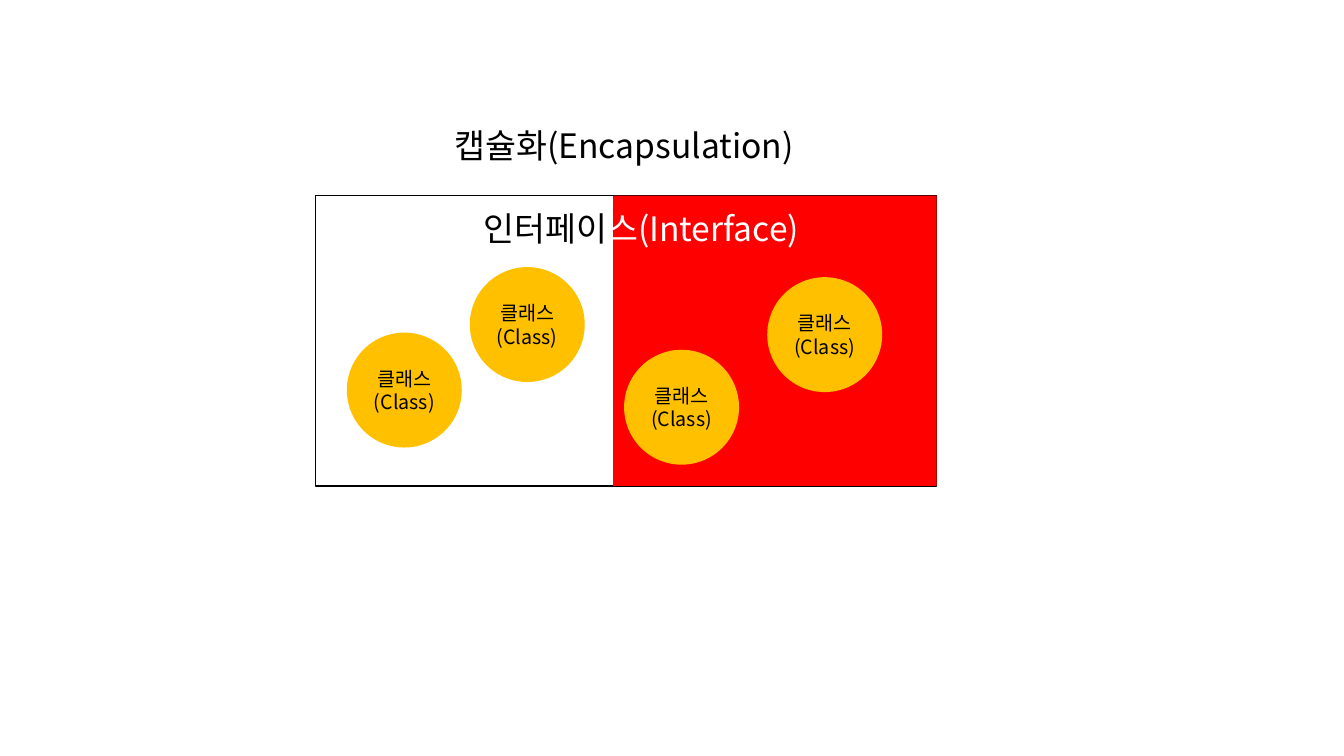
from lxml import etree
from pptx import Presentation
from pptx.dml.color import RGBColor
from pptx.enum.shapes import MSO_SHAPE
from pptx.enum.text import MSO_ANCHOR, MSO_AUTO_SIZE, PP_ALIGN
from pptx.oxml.ns import qn
from pptx.util import Inches, Pt

RECTANGLE, OVAL = MSO_SHAPE.RECTANGLE, MSO_SHAPE.OVAL
TOP, MIDDLE = MSO_ANCHOR.TOP, MSO_ANCHOR.MIDDLE
CENTER = PP_ALIGN.CENTER
FIT_SHAPE, FIT_NONE = MSO_AUTO_SIZE.SHAPE_TO_FIT_TEXT, MSO_AUTO_SIZE.NONE

FONT = "Noto Sans CJK KR"
BLACK, WHITE, RED, AMBER = "000000", "FFFFFF", "FF0000", "FFC000"
CIRCLE_SIZE = 1.14
# Circle offsets from the top left corner of the capsule
CLASS_OFFSETS = [(4.48, 0.81), (3.06, 1.53), (0.31, 1.36), (1.53, 0.71)]


def color(hex_string):
    return RGBColor.from_string(hex_string)


def write(shape, spans, size, anchor, fit):
    """Fill a shape with one centred paragraph of (text, colour) spans."""
    frame = shape.text_frame
    frame.word_wrap = True
    frame.auto_size = fit
    frame.vertical_anchor = anchor
    para = frame.paragraphs[0]
    para.alignment = CENTER
    for text, hex_string in spans:
        span = para.add_run()
        span.text = text
        span.font.size = Pt(size)
        span.font.name = FONT
        span.font.color.rgb = color(hex_string)
        east_asian = etree.SubElement(span.font._element, qn("a:ea"))
        east_asian.set("typeface", FONT)


def add_filled(page, kind, box, fill, line=None):
    shape = page.shapes.add_shape(kind, *map(Inches, box))
    shape.shadow.inherit = False
    shape.fill.solid()
    shape.fill.fore_color.rgb = color(fill)
    if line:
        shape.line.color.rgb = color(line)
        shape.line.width = Pt(1)
    else:
        shape.line.fill.background()
    return shape


def add_heading(page, box):
    title = page.shapes.title
    title.left, title.top, title.width, title.height = map(Inches, box)
    write(title, [("캡슐화(Encapsulation)", BLACK)], 24, TOP, FIT_SHAPE)


def add_capsule(page, box):
    left, top, width, height = box

    # Open half and red hidden half
    red_width = 3.21
    add_filled(page, RECTANGLE, box, WHITE, BLACK)
    add_filled(page, RECTANGLE,
               (left + width - red_width, top, red_width, height), RED)

    # Interface label across both halves
    label = page.shapes.add_textbox(
        *map(Inches, (left + 1.25, top + 0.07, 3.96, 0.5)))
    write(label, [("인터페이", BLACK), ("스(Interface)", WHITE)],
          24, TOP, FIT_SHAPE)

    # Classes
    for across, down in CLASS_OFFSETS:
        circle = add_filled(
            page, OVAL,
            (left + across, top + down, CIRCLE_SIZE, CIRCLE_SIZE), AMBER)
        write(circle, [("클래스(Class)", BLACK)], 14, MIDDLE, FIT_NONE)


def main():
    deck = Presentation()
    deck.slide_width, deck.slide_height = Inches(13.33), Inches(7.5)
    page = deck.slides.add_slide(deck.slide_layouts[5])
    add_heading(page, (4.2, 1.19, 3.98, 0.5))
    add_capsule(page, (3.13, 1.94, 6.16, 2.88))
    deck.save("out.pptx")


if __name__ == "__main__":
    main()
